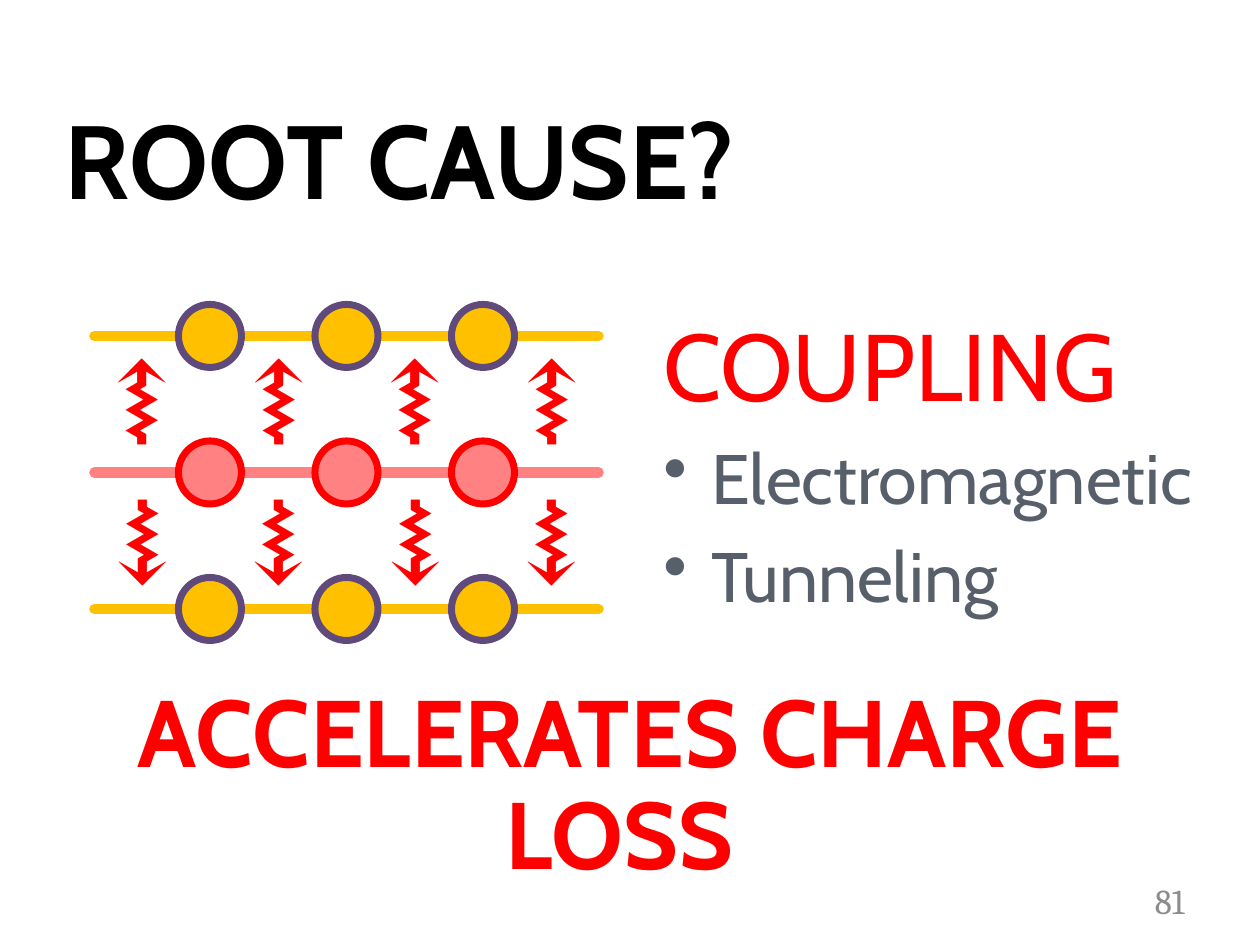
from itertools import product

from lxml import etree
from pptx import Presentation
from pptx.dml.color import RGBColor
from pptx.enum.shapes import MSO_CONNECTOR, MSO_SHAPE
from pptx.enum.text import MSO_ANCHOR, PP_ALIGN
from pptx.oxml.ns import qn
from pptx.util import Inches, Pt

STRAIGHT = MSO_CONNECTOR.STRAIGHT
OVAL = MSO_SHAPE.OVAL
MIDDLE = MSO_ANCHOR.MIDDLE
LEFT, CENTER, RIGHT = PP_ALIGN.LEFT, PP_ALIGN.CENTER, PP_ALIGN.RIGHT

THEME = {
    "red": RGBColor.from_string("FF0000"),
    "pink": RGBColor.from_string("FF8181"),
    "gold": RGBColor.from_string("FFC000"),
    "purple": RGBColor.from_string("604A7B"),
    "slate": RGBColor.from_string("565F6A"),
    "gray": RGBColor.from_string("8C8C8C"),
    "black": RGBColor.from_string("000000"),
    "sans": "Cabin",
    "serif": "Cambria",
    "title": Pt(59.4),
    "heading": Pt(54),
    "bullet": Pt(40),
    "arrow": Pt(66),
    "number": Pt(20),
    "wire": Pt(6),
    "ring": Pt(4),
}

deck = Presentation()
deck.slide_width, deck.slide_height = Inches(10), Inches(7.5)
page = deck.slides.add_slide(deck.slide_layouts[6])
COLUMN = deck.slide_width / 120
ROW = deck.slide_height / 90
PITCH = 13


def place(column, row, columns, rows):
    return [round(n) for n in (column * COLUMN, row * ROW, columns * COLUMN, rows * ROW)]


def add_text(area, lines, align=LEFT, margins=None, rotation=0, line_spacing=None):
    box = page.shapes.add_textbox(*place(*area))
    box.rotation = rotation
    frame = box.text_frame
    frame.word_wrap = True
    frame.vertical_anchor = MIDDLE
    for name, value in (margins or {}).items():
        setattr(frame, f"margin_{name}", value)
    for index, (text, font, size, color, bold, bullet) in enumerate(lines):
        para = frame.add_paragraph() if index else frame.paragraphs[0]
        if bullet:
            properties = para._p.get_or_add_pPr()
            properties.set("marL", str(Inches(0.38)))
            properties.set("indent", str(-Inches(0.38)))
            etree.SubElement(properties, qn("a:buChar")).set("char", "•")
        para.alignment = align
        if index:
            para.space_before = Pt(8)
        if line_spacing:
            para.line_spacing = line_spacing
        span = para.add_run()
        span.text = text
        looks = {"name": THEME[font], "size": THEME[size], "bold": bold}
        for name, value in looks.items():
            setattr(span.font, name, value)
        span.font.color.rgb = THEME[color]


atom_rows = [("gold", "purple"), ("pink", "red"), ("gold", "purple")]
for row, (fill, ring) in enumerate(atom_rows):
    left, height, length, _ = place(9, 32 + row * PITCH, 48, 0)
    wire = page.shapes.add_connector(STRAIGHT, left, height, left + length, height)
    wire.line.color.rgb = THEME[fill]
    wire.line.width = THEME["wire"]
    wire.line._get_or_add_ln().set("cap", "rnd")
    etree.SubElement(wire._element.spPr, qn("a:effectLst"))

for (row, (fill, ring)), column in product(enumerate(atom_rows), range(3)):
    atom = page.shapes.add_shape(OVAL, *place(17 + column * PITCH, 29 + row * PITCH, 6, 6))
    atom.shadow.inherit = False
    atom.fill.solid()
    atom.fill.fore_color.rgb = THEME[fill]
    atom.line.color.rgb = THEME[ring]
    atom.line.width = THEME["ring"]

arrow_rows = [(36.5, 270, 0.13), (49.5, 90, 0.15)]
for (top, rotation, bottom), column in product(arrow_rows, range(4)):
    add_text(
        (9 + column * PITCH, top, 9, 4),
        [("⇝", "serif", "arrow", "red", False, False)],
        align=CENTER,
        margins={"left": 0, "top": 0, "right": 0, "bottom": Inches(bottom)},
        rotation=rotation,
    )

add_text((5, 9, 110, 12), [("ROOT CAUSE?", "sans", "title", "black", True, False)])
add_text(
    (62, 24, 54, 40),
    [
        ("COUPLING", "sans", "heading", "red", False, False),
        ("Electromagnetic", "sans", "bullet", "slate", False, True),
        ("Tunneling", "sans", "bullet", "slate", False, True),
    ],
)
add_text(
    (10, 69, 100, 12),
    [("ACCELERATES CHARGE LOSS ", "sans", "heading", "red", True, False)],
    align=CENTER,
    margins=dict.fromkeys(("left", "top", "right", "bottom"), 0),
    line_spacing=0.9,
)
add_text((86, 83.4, 28, 4.8), [("81", "serif", "number", "gray", False, False)], align=RIGHT)

deck.save("out.pptx")
